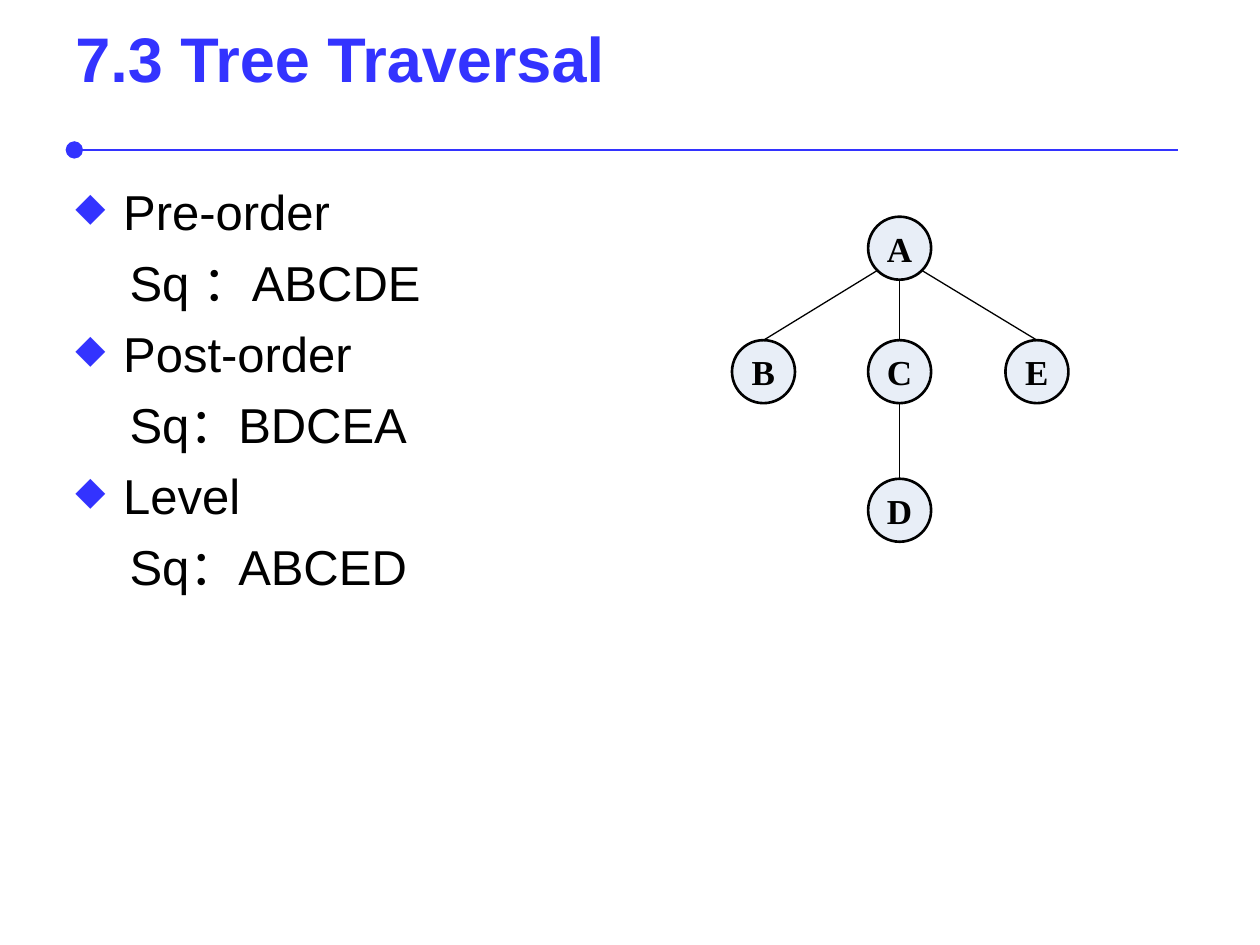
import math

import lxml.etree
import pptx
import pptx.dml.color
import pptx.enum.shapes
import pptx.enum.text
import pptx.oxml.ns
import pptx.util

BLUE = pptx.dml.color.RGBColor(0x33, 0x33, 0xFF)
BLACK = pptx.dml.color.RGBColor(0x00, 0x00, 0x00)
NODE_FILL = pptx.dml.color.RGBColor(0xE8, 0xEE, 0xF7)

COLUMNS, ROWS = 100, 75
RADIUS = 2.5
DIAGONAL = RADIUS * math.sqrt(0.5)

TITLE_FONT = {"name": "Arial", "size": pptx.util.Pt(36), "bold": True}
BODY_FONT = {"name": "Arial", "size": pptx.util.Pt(28), "bold": False}
NODE_FONT = {"name": "Times New Roman", "size": pptx.util.Pt(20), "bold": True}

TRAVERSALS = [
    ("Pre-order", "Sq ：ABCDE"),
    ("Post-order", "Sq：BDCEA"),
    ("Level", "Sq：ABCED"),
]
NODES = {
    "A": (71.4, 19.7),
    "B": (60.6, 29.5),
    "C": (71.4, 29.5),
    "E": (82.3, 29.5),
    "D": (71.4, 40.5),
}
EDGES = [("A", "B"), ("A", "C"), ("A", "E"), ("C", "D")]


def add_xml(parent, tag, **attributes):
    element = lxml.etree.SubElement(parent, pptx.oxml.ns.qn(tag))
    for name, value in attributes.items():
        element.set(name, str(value))
    return element


class SlideBuilder:
    """Places elements on a grid of 100 columns by 75 rows."""

    def __init__(self, deck):
        self.column = deck.slide_width / COLUMNS
        self.row = deck.slide_height / ROWS
        self.shapes = deck.slides.add_slide(deck.slide_layouts[6]).shapes

    def place(self, *lengths):
        """Turn alternating columns and rows into slide lengths."""
        units = (self.column, self.row)
        return [round(length * units[i % 2]) for i, length in enumerate(lengths)]

    def style(self, paragraph, font, color):
        for name, value in font.items():
            setattr(paragraph.font, name, value)
        paragraph.font.color.rgb = color

    def text_frame(self, left, top, width, height):
        frame = self.shapes.add_textbox(*self.place(left, top, width, height)).text_frame
        frame.word_wrap = True
        return frame

    def title(self, text):
        frame = self.text_frame(5, 1.2, 90, 6.7)
        frame.vertical_anchor = pptx.enum.text.MSO_ANCHOR.MIDDLE
        frame.text = text
        self.style(frame.paragraphs[0], TITLE_FONT, BLUE)

    def body(self, traversals):
        frame = self.text_frame(5, 13.9, 90, 53.1)
        lines = [(text, level) for pair in traversals for level, text in enumerate(pair)]
        for i, (text, level) in enumerate(lines):
            paragraph = frame.add_paragraph() if i else frame.paragraphs[0]
            paragraph.text = text
            if i:
                paragraph.space_before = pptx.util.Pt(7)
            if level:
                self.indent(paragraph, 4.3, 0)
            else:
                self.indent(paragraph, 3.8, -3.8)
                self.bullet(paragraph)
            self.style(paragraph, BODY_FONT, BLACK)

    def indent(self, paragraph, margin, first_line):
        properties = paragraph._p.get_or_add_pPr()
        properties.set("marL", str(round(margin * self.column)))
        properties.set("indent", str(round(first_line * self.column)))

    def bullet(self, paragraph):
        properties = paragraph._p.get_or_add_pPr()
        add_xml(add_xml(properties, "a:buClr"), "a:srgbClr", val=BLUE)
        add_xml(properties, "a:buSzPct", val=80000)
        add_xml(properties, "a:buChar", char="◆")

    def line(self, start, end, color, weight):
        connector = self.shapes.add_connector(
            pptx.enum.shapes.MSO_CONNECTOR.STRAIGHT, *self.place(*start, *end)
        )
        connector.line.color.rgb = color
        connector.line.width = pptx.util.Pt(weight)
        add_xml(connector._element.spPr, "a:effectLst")
        return connector

    def title_rule(self):
        rule = self.line((5.9, 11.9), (93.5, 11.9), BLUE, 1.5)
        add_xml(rule.line._get_or_add_ln(), "a:headEnd", type="oval", w="lg", len="lg")

    def node(self, label, x, y):
        circle = self.shapes.add_shape(
            pptx.enum.shapes.MSO_SHAPE.OVAL,
            *self.place(x - RADIUS, y - RADIUS, 2 * RADIUS, 2 * RADIUS),
        )
        circle.shadow.inherit = False
        circle.fill.solid()
        circle.fill.fore_color.rgb = NODE_FILL
        circle.line.color.rgb = BLACK
        circle.line.width = pptx.util.Pt(1.5)
        frame = circle.text_frame
        frame.word_wrap = False
        frame.vertical_anchor = pptx.enum.text.MSO_ANCHOR.MIDDLE
        frame.text = label
        frame.paragraphs[0].alignment = pptx.enum.text.PP_ALIGN.CENTER
        self.style(frame.paragraphs[0], NODE_FONT, BLACK)

    def edge(self, parent, child):
        """Join the parent's lower rim, on the child's side, to the child's top."""
        (x, y), (child_x, child_y) = parent, child
        if x == child_x:
            start = (x, y + RADIUS)
        else:
            start = (x + math.copysign(DIAGONAL, child_x - x), y + DIAGONAL)
        self.line(start, (child_x, child_y - RADIUS), BLACK, 0.75)


def main():
    deck = pptx.Presentation()
    deck.slide_width = pptx.util.Inches(10)
    deck.slide_height = pptx.util.Inches(7.5)
    builder = SlideBuilder(deck)
    builder.title_rule()
    builder.title("7.3 Tree Traversal")
    builder.body(TRAVERSALS)
    for label, center in NODES.items():
        builder.node(label, *center)
    for parent, child in EDGES:
        builder.edge(NODES[parent], NODES[child])
    deck.save("out.pptx")


if __name__ == "__main__":
    main()
